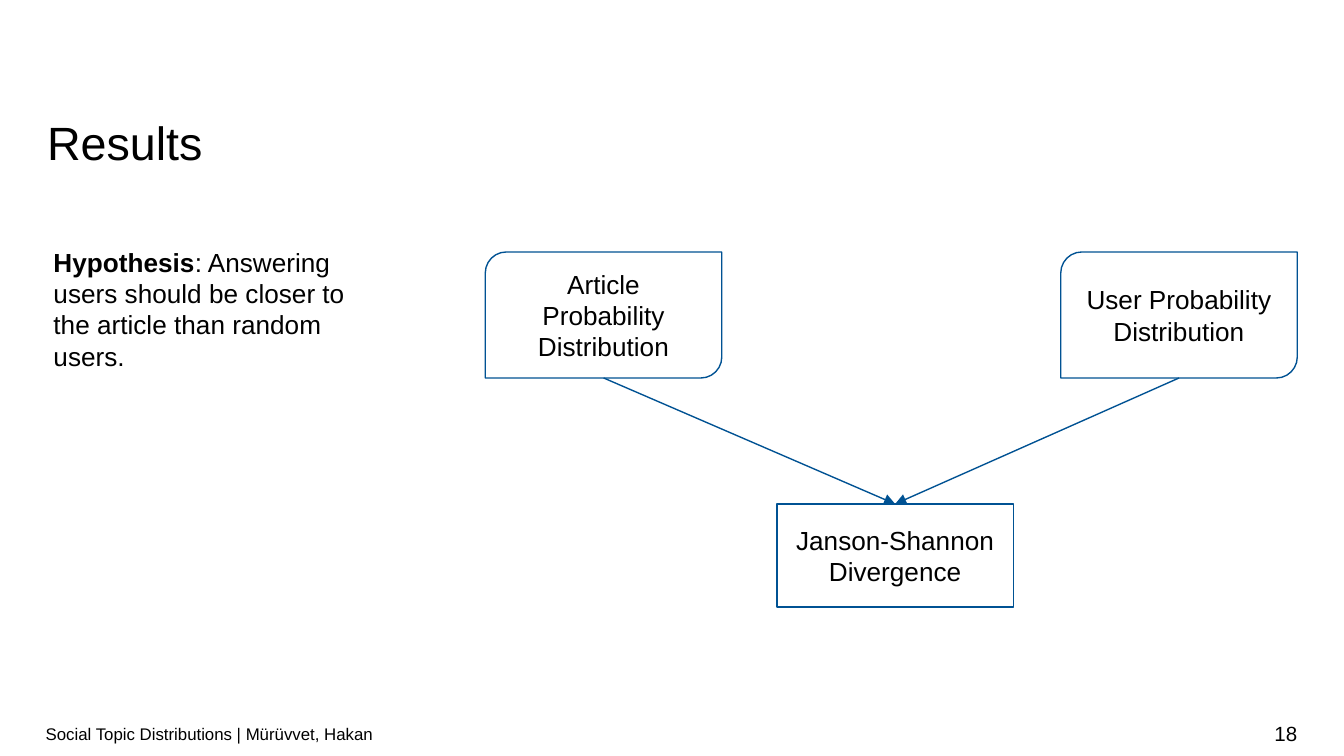
import pptx
import pptx.util
import pptx.dml.color
import pptx.enum.shapes
import pptx.enum.text
import pptx.oxml
import pptx.oxml.ns
from lxml import etree

Pt = pptx.util.Pt
SHAPES = pptx.enum.shapes.MSO_SHAPE
ALIGN = pptx.enum.text.PP_ALIGN
ANCHOR = pptx.enum.text.MSO_ANCHOR
BLACK = pptx.dml.color.RGBColor(0x00, 0x00, 0x00)
BLUE = pptx.dml.color.RGBColor(0x00, 0x52, 0x93)
WHITE = pptx.dml.color.RGBColor(0xFF, 0xFF, 0xFF)


def write_text(shape, runs, size, align, anchor, side_inset, end_inset):
    """Fill a shape with one paragraph made of (text, bold) runs."""
    frame = shape.text_frame
    frame_format = {
        "word_wrap": True,
        "auto_size": pptx.enum.text.MSO_AUTO_SIZE.NONE,
        "vertical_anchor": anchor,
        "margin_left": Pt(side_inset), "margin_right": Pt(side_inset),
        "margin_top": Pt(end_inset), "margin_bottom": Pt(end_inset),
    }
    for name, value in frame_format.items():
        setattr(frame, name, value)
    paragraph = frame.paragraphs[0]
    paragraph.alignment = align
    for text, bold in runs:
        run = paragraph.add_run()
        run.text = text
        font_format = {"name": "Arial", "size": Pt(size), "bold": bold}
        for name, value in font_format.items():
            setattr(run.font, name, value)
        run.font.color.rgb = BLACK
    return paragraph


presentation = pptx.Presentation()
presentation.slide_width = Pt(720)
presentation.slide_height = Pt(405)
slide = presentation.slides.add_slide(presentation.slide_layouts[5])
slide.background.fill.solid()
slide.background.fill.fore_color.rgb = WHITE

# Title
title = slide.shapes.title
title_place = {"left": 25.2, "top": 52.6, "width": 670, "height": 32.4}
for name, value in title_place.items():
    setattr(title, name, Pt(value))
paragraph = write_text(title, [("Results", False)], 25, ALIGN.LEFT, ANCHOR.TOP, 0, 0)
paragraph.line_spacing = 1.28

# Hypothesis and footer texts
text_boxes = [
    ((21.6, 124.6, 187.2, 200.9),
     [("Hypothesis", True),
      (": Answering users should be closer to the article than random users.", False)],
     14, ALIGN.LEFT, ANCHOR.TOP, 7.2, 7.2),
    ((24.5, 382.3, 509, 21.6),
     [("Social Topic Distributions | Mürüvvet, Hakan", False)],
     9, ALIGN.LEFT, ANCHOR.MIDDLE, 0, 3.6),
    ((533.5, 382.3, 161.5, 21.6), [("18", False)],
     11, ALIGN.RIGHT, ANCHOR.MIDDLE, 0, 3.6),
]
for place, *text_format in text_boxes:
    text_box = slide.shapes.add_textbox(*map(Pt, place))
    write_text(text_box, *text_format)

# Diagram boxes: two distributions above the divergence
BOX_WIDTH = 126.7
boxes = []
for text, kind, left, top, height in [
    ("Article Probability Distribution", SHAPES.ROUND_2_DIAG_RECTANGLE, 260, 135, 67.5),
    ("User Probability Distribution", SHAPES.ROUND_2_DIAG_RECTANGLE, 568.3, 135, 67.5),
    ("Janson-Shannon Divergence", SHAPES.RECTANGLE, 416.2, 270, 55.2),
]:
    box = slide.shapes.add_shape(kind, Pt(left), Pt(top), Pt(BOX_WIDTH), Pt(height))
    box.shadow.inherit = False
    box.fill.background()
    box.line.color.rgb = BLUE
    box.line.width = Pt(0.75)
    write_text(box, [(text, False)], 14, ALIGN.CENTER, ANCHOR.MIDDLE, 7.2, 7.2)
    boxes.append(box)
*distributions, divergence = boxes

# Arrows from each distribution to the divergence
for box in distributions:
    start_x, start_y = box.left + box.width // 2, box.top + box.height
    arrow = slide.shapes.add_connector(
        pptx.enum.shapes.MSO_CONNECTOR.STRAIGHT, start_x, start_y, start_x, start_y)
    arrow.end_connect(divergence, 0)
    arrow.line.color.rgb = BLUE
    arrow.line.width = Pt(0.75)
    arrow_head = etree.SubElement(arrow.line._get_or_add_ln(), pptx.oxml.ns.qn("a:tailEnd"))
    arrow_head.set("type", "triangle")
    etree.SubElement(arrow._element.spPr, pptx.oxml.ns.qn("a:effectLst"))

presentation.save("out.pptx")
